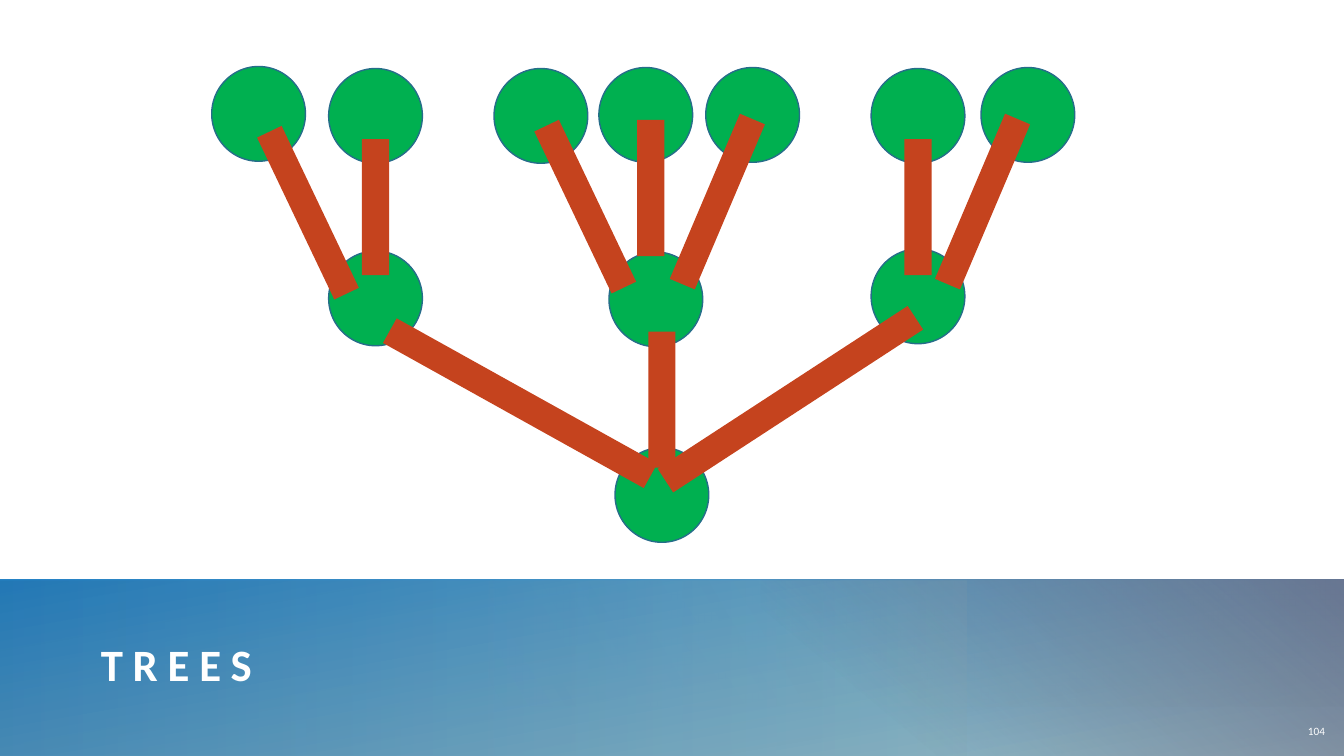
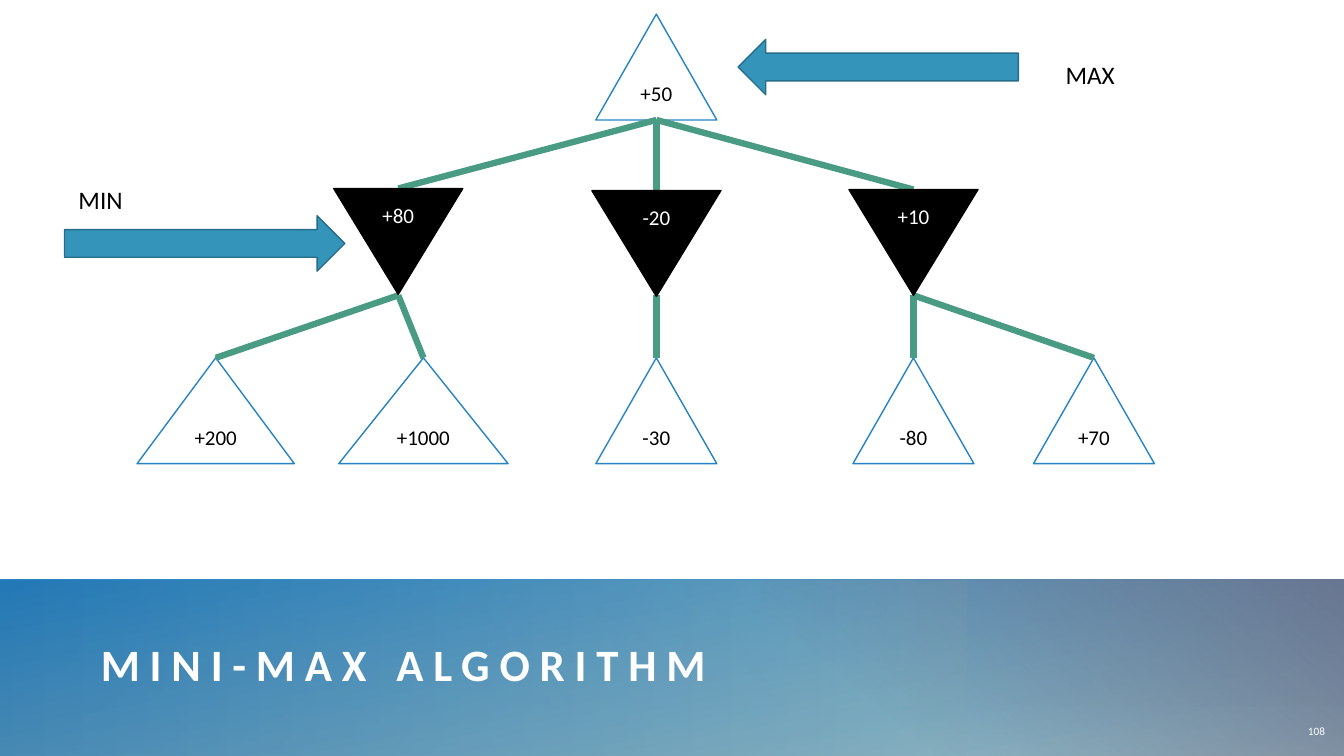
import pptx
import pptx.dml.color
import pptx.enum.shapes
import pptx.enum.text
import pptx.oxml.ns
import pptx.util
import lxml.etree

Inches, Pt = pptx.util.Inches, pptx.util.Pt
Kind = pptx.enum.shapes.MSO_SHAPE
Align = pptx.enum.text.PP_ALIGN
qn = pptx.oxml.ns.qn

# Shared colours and text formats
WHITE, BLACK = "FFFFFF", "000000"
BLUE, TEAL, EDGE, MIST = "2683C6", "3494BA", "266D8A", "84ACB6"
LEAF, BARK, LINK = "00B050", "C5431E", "4A9B83"
HEAD = {"name": "Calibri", "size": Pt(32), "bold": True}
FOOT = {"name": "Calibri", "size": Pt(8)}
NODE = {"name": "Calibri", "size": Pt(15)}
SIDE = {"name": "Calibri", "size": Pt(18)}

# Band layers: box, turn, gradient angle, stops of (place, colour, opacity)
BANDS = [
    ((-0.01, 5.75, 13.35, 1.75), 0, 260, [(0, MIST, 83), (100, BLUE, 100)]),
    ((4.86, 5.76, 8.48, 1.25), 180, 330, [(0, MIST, 30), (99, MIST, 0)]),
    ((-0.01, 5.76, 9.6, 1.74), 0, 0, [(0, "1D6294", 31), (99, MIST, 23)]),
    ((7.54, 5.75, 5.8, 1.75), 0, 310, [(22, "635F7C", 0), (99, "635F7C", 66)]),
]


def paint(fill, code):
    """Make a fill solid, or clear it when there is no colour."""
    if code:
        fill.solid()
        fill.fore_color.rgb = pptx.dml.color.RGBColor.from_string(code)
    else:
        fill.background()


def draw(slide, kind, box, fill=None, edge=None, text="", ink=WHITE,
         form=NODE, align=Align.CENTER):
    """Add a preset shape, or a text box when kind is None."""
    box = [Inches(n) for n in box]
    if kind is None:
        shape = slide.shapes.add_textbox(*box)
    else:
        shape = slide.shapes.add_shape(kind, *box)
        shape.shadow.inherit = False
        paint(shape.fill, fill)
        paint(shape.line.fill, edge)
        if edge:
            shape.line.width = Pt(1)
    if text:
        frame = shape.text_frame
        frame.word_wrap = True
        frame.vertical_anchor = pptx.enum.text.MSO_ANCHOR.MIDDLE
        para = frame.paragraphs[0]
        para.alignment = align
        run = para.add_run()
        run.text = text
        for key, value in form.items():
            setattr(run.font, key, value)
        paint(run.font.fill, ink)
    return shape


deck = pptx.Presentation()
deck.slide_width, deck.slide_height = Inches(13.33), Inches(7.5)

# Both slides: band, title and number
pages = []
for title, number in [("TREES", "104"), ("MINI-MAX ALGORITHM", "108")]:
    page = deck.slides.add_slide(deck.slide_layouts[6])
    paint(page.background.fill, WHITE)
    for box, turn, angle, stops in BANDS:
        band = draw(page, Kind.RECTANGLE, box)
        band.rotation = turn
        band.fill.gradient()
        band.fill.gradient_angle = (360 - angle) % 360
        for stop, (place, code, _) in zip(band.fill.gradient_stops, stops):
            stop.position = place / 100
            stop.color.rgb = pptx.dml.color.RGBColor.from_string(code)
        tints = list(band.element.spPr.iter(qn("a:srgbClr")))
        for tint, (_, _, alpha) in zip(tints, stops):
            lxml.etree.SubElement(tint, qn("a:alpha")).set("val", str(alpha * 1000))
    head = draw(page, None, (1, 6.13, 11.7, 0.9), text=title, form=HEAD,
                align=Align.LEFT)
    for side in ("left", "top", "right", "bottom"):
        setattr(head.text_frame, "margin_" + side, 0)
    head.text_frame.paragraphs[0].runs[0].font.element.set("spc", "700") \
        if hasattr(head.text_frame.paragraphs[0].runs[0].font, "element") \
        else next(head.element.iter(qn("a:rPr"))).set("spc", "700")
    foot = draw(page, None, (12.76, 7.01, 0.48, 0.49), text=number, form=FOOT,
                align=Align.RIGHT)
    foot.text_frame.paragraphs[0].space_after = Pt(6)
    pages.append(page)
trees, game = pages

# Tree: crowns, then branches grouped by size
crowns = [(6.1, 4.44), (3.26, 2.49), (6.04, 2.5), (8.64, 2.47),
          (2.1, 0.66), (3.26, 0.68), (4.9, 0.68), (5.94, 0.67),
          (7, 0.67), (8.64, 0.68), (9.73, 0.67)]
for left, top in crowns:
    draw(trees, Kind.OVAL, (left, top, 0.93, 0.94), LEAF, EDGE)

limbs = {
    (0.27, 1.35): [(6.43, 3.29, 0), (6.32, 1.19, 0), (3.59, 1.38, 0),
                   (8.97, 1.38, 0)],
    (0.27, 1.78): [(9.61, 1.11, 23), (6.98, 1.11, 23), (5.67, 1.16, 334.5),
                   (2.92, 1.22, 334.5)],
    (0.28, 2.96): [(5.02, 2.52, 299.1), (7.7, 2.48, 236.9)],
}
for size, spots in limbs.items():
    for left, top, turn in spots:
        draw(trees, Kind.RECTANGLE, (left, top, *size), BARK).rotation = turn

# Game tree: each min node has a centre, top, score and leaves
mid, tall, low = 6.51, 1.05, 3.55
root = (mid, 1.19)
mins = [
    (3.95, 1.87, "+80", [(2.14, 1.56, "+200"), (4.2, 1.68, "+1000")]),
    (mid, 1.89, "-20", [(mid, 1.2, "-30")]),
    (9.06, 1.88, "+10", [(9.06, 1.2, "-80"), (10.85, 1.2, "+70")]),
]
draw(game, Kind.ISOSCELES_TRIANGLE, (mid - 0.6, 0.14, 1.2, tall), WHITE, BLUE,
     "+50", BLACK)
for x, top, score, leaves in mins:
    links = [(root, (x, top))]
    for spot, wide, worth in leaves:
        draw(game, Kind.ISOSCELES_TRIANGLE, (spot - wide / 2, low, wide, tall),
             WHITE, BLUE, worth, BLACK)
        links.append(((x, 2.93), (spot, low)))
    for start, end in links:
        link = game.shapes.add_connector(
            pptx.enum.shapes.MSO_CONNECTOR.STRAIGHT,
            *[Inches(n) for n in start + end])
        paint(link.line.fill, LINK)
        link.line.width = Pt(4.5)
        lxml.etree.SubElement(link.element.spPr, qn("a:effectLst"))
    draw(game, Kind.FLOWCHART_MERGE, (x - 0.64, top, 1.28, tall), BLACK, BLACK,
         score)

# Arrows and their labels
for kind, left, top in [(Kind.LEFT_ARROW, 7.32, 0.39),
                        (Kind.RIGHT_ARROW, 0.64, 2.14)]:
    draw(game, kind, (left, top, 2.78, 0.55), TEAL, EDGE)
for text, box in [("MAX", (10.47, 0.54, 0.76, 0.4)),
                  ("MIN", (0.68, 1.78, 0.68, 0.4))]:
    label = draw(game, None, box, text=text, ink=BLACK, form=SIDE,
                 align=Align.LEFT)
    label.text_frame.word_wrap = False

deck.save("out.pptx")
